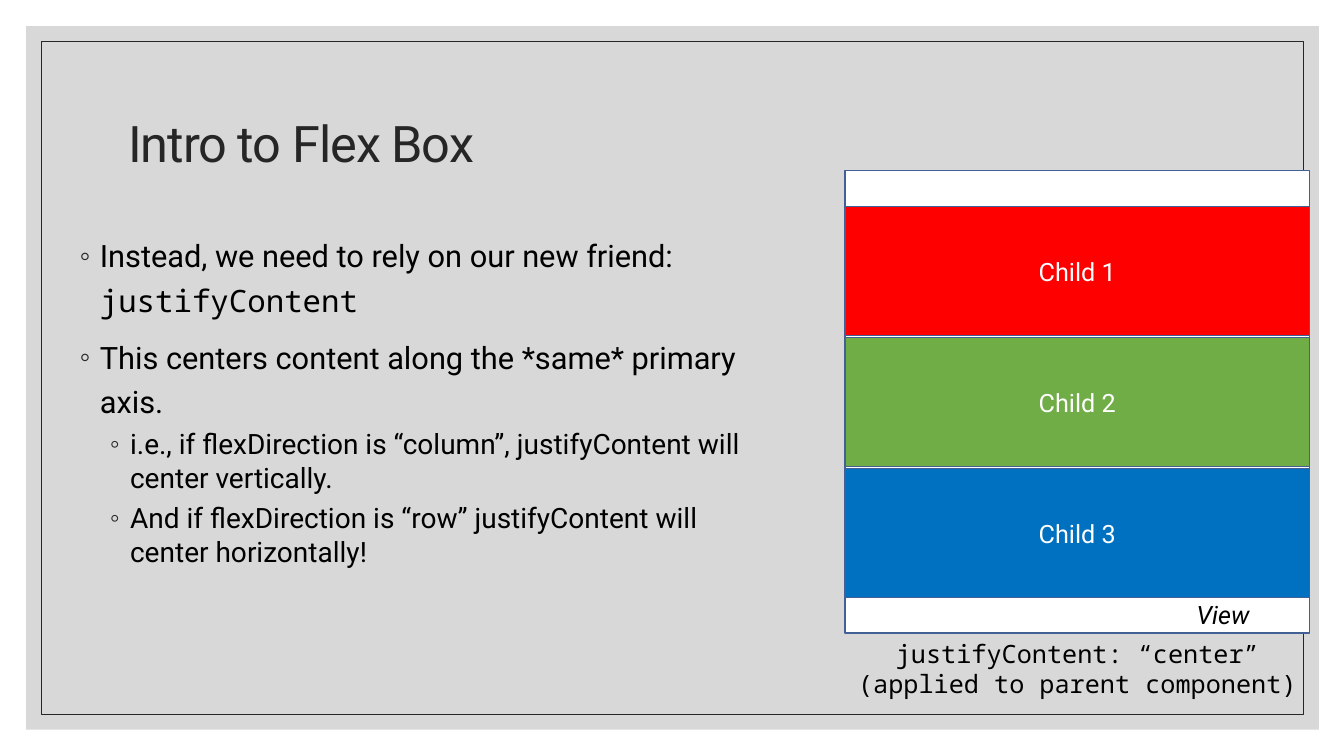
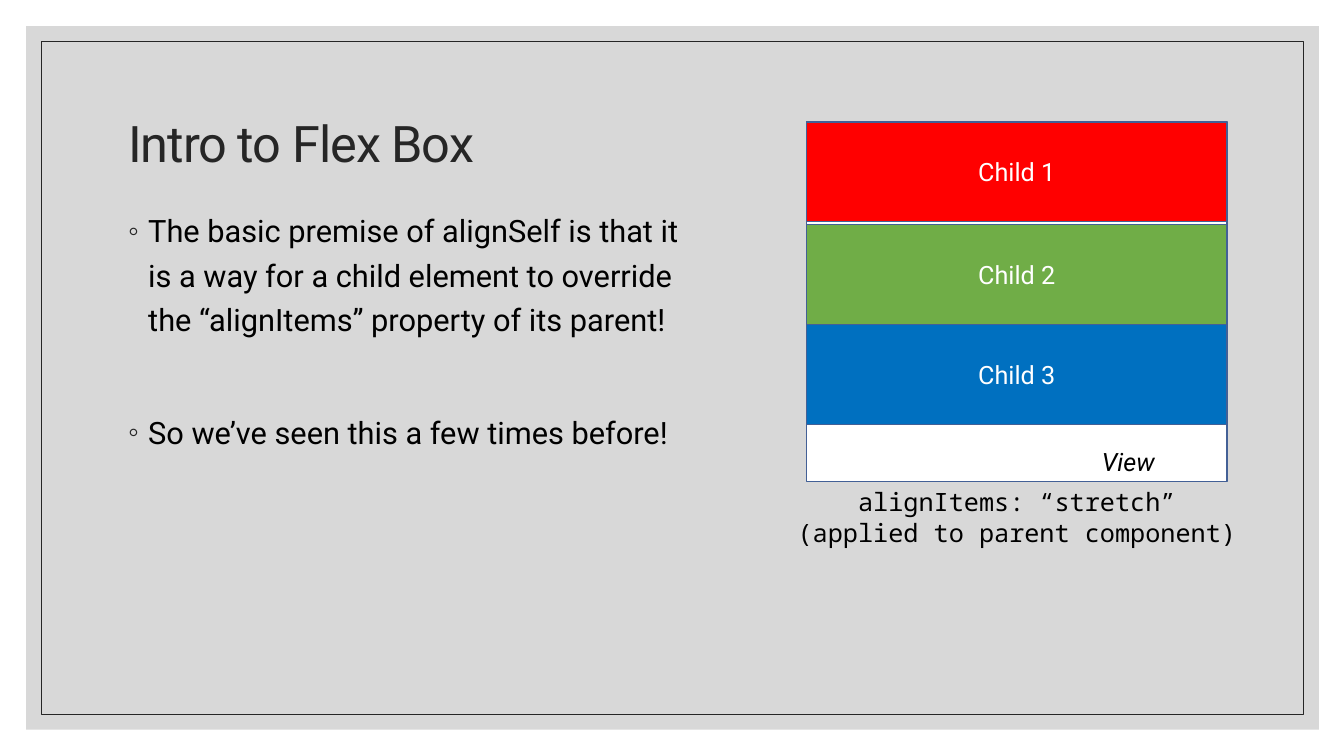
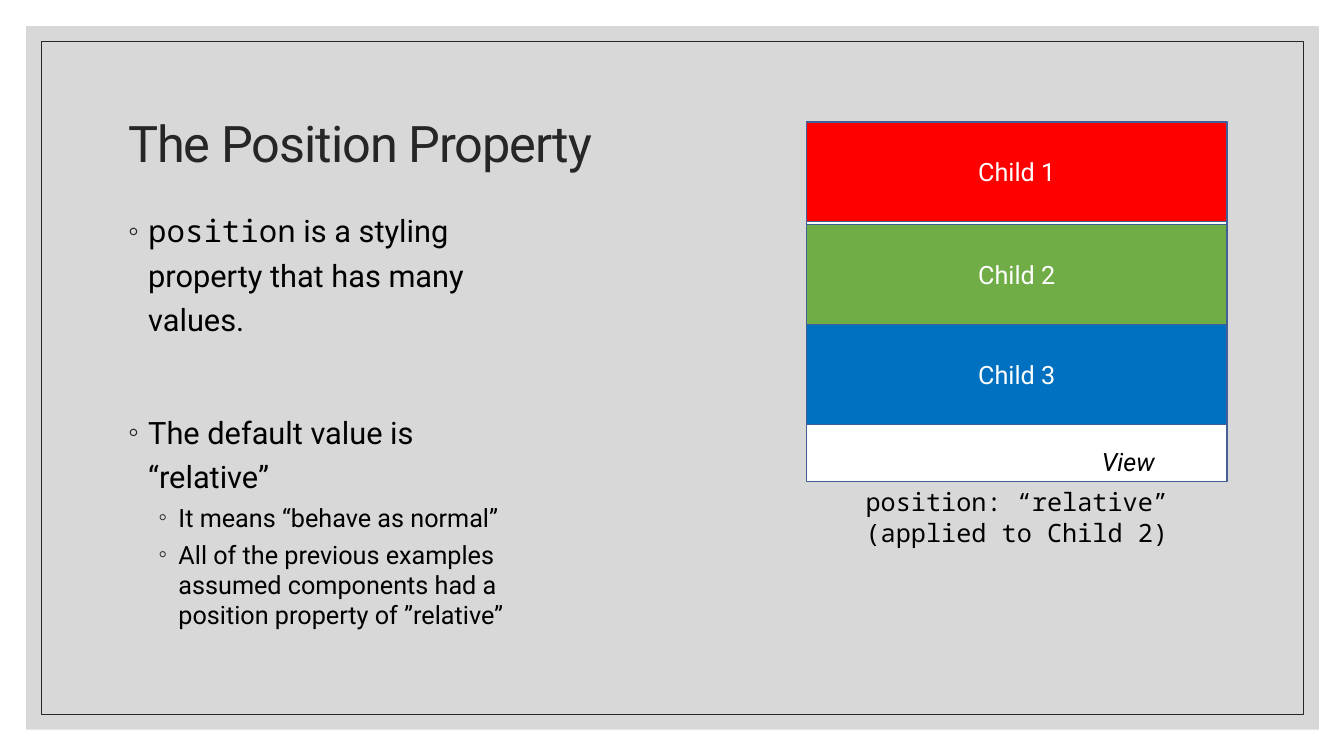
from lxml import etree
from pptx import Presentation
from pptx.dml.color import RGBColor
from pptx.enum import shapes as kinds, text as txt
from pptx.oxml import ns
from pptx.util import Inches, Pt

SANS, MONO = "Roboto", "Noto Sans Mono"
INK = RGBColor(0x26, 0x26, 0x26)
GREY = RGBColor(0xBF, 0xBF, 0xBF)
BLACK = RGBColor(0, 0, 0)
WHITE = RGBColor(0xFF, 0xFF, 0xFF)
EDGE = RGBColor(0x43, 0x60, 0x96)
RED = RGBColor(0xFF, 0, 0)
GREEN = RGBColor(0x70, 0xAD, 0x47)
BLUE = RGBColor(0, 0x70, 0xC0)

KIDS = [("Child 1", RED), ("Child 2", GREEN), ("Child 3", BLUE)]
BREAK = 49  # points before a point that opens a new block

# Boxes are left, top, width, height in inches.
WIDE = {"box": (8.38, 1.69, 4.61, 4.59), "tops": (2.05, 3.35, 4.65),
        "tall": 1.28, "view": (11.77, 5.9)}
SLIM = {"box": (8, 1.21, 4.17, 3.57), "tops": (1.21, 2.23, 3.22),
        "tall": 0.99, "view": (10.83, 4.38)}

# Each point is level, size, space before, then its (text, font) runs.
SLIDES = [
    {"title": "Intro to Flex Box", "body": (0.69, 2.23, 7.1, 4.94), "panel": WIDE,
     "points": [
         (0, 22, 0, [("Instead, we need to rely on our new friend: ", SANS),
                     ("justifyContent", MONO)]),
         (0, 22, 9, [("This centers content along the *same* primary axis.", SANS)]),
         (1, 20, 5, [("i.e., if flexDirection is “column”, justifyContent will "
                      "center vertically.", SANS)]),
         (1, 20, 5, [("And if flexDirection is “row” justifyContent will "
                      "center horizontally!", SANS)])],
     "note": ["justifyContent: “center”", "(applied to parent component)"]},
    {"title": "Intro to Flex Box", "body": (1.17, 1.98, 5.88, 4.94), "panel": SLIM,
     "points": [
         (0, 22, 0, [("The basic premise of alignSelf is that it is a way for a child "
                      "element to override the “alignItems” property of its parent!",
                      SANS)]),
         (0, 22, BREAK, [("So we’ve seen this a few times before!", SANS)])],
     "note": ["alignItems: “stretch”", "(applied to parent component)"]},
    {"title": "The Position Property", "body": (1.17, 1.98, 4.09, 4.94), "panel": SLIM,
     "points": [
         (0, 22, 0, [("position", MONO),
                     (" is a styling property that has many values.", SANS)]),
         (0, 22, BREAK, [("The default value is “relative”", SANS)]),
         (1, 18, 5, [("It means “behave as normal”", SANS)]),
         (1, 18, 5, [("All of the previous examples assumed components had a "
                      "position property of ”relative”", SANS)])],
     "note": ["position: “relative”", "(applied to Child 2)"]},
]


def place(shape, box):
    shape.left, shape.top, shape.width, shape.height = map(Inches, box)


def write(par, words, size=18, font=SANS, color=BLACK, italic=None, track=None, align=None):
    """Add one formatted run to a paragraph."""
    run = par.add_run()
    run.text = words
    run.font.size, run.font.name, run.font.italic = Pt(size), font, italic
    run.font.color.rgb = color
    if track is not None:
        run.font._element.set("spc", str(track))
    if align is not None:
        par.alignment = align


def rect(home, box, fill=None, line=None, weight=1):
    shape = home.add_shape(kinds.MSO_SHAPE.RECTANGLE, *map(Inches, box))
    shape.shadow.inherit = False
    if fill is None:
        shape.fill.background()
    else:
        shape.fill.solid()
        shape.fill.fore_color.rgb = fill
    if line is None:
        shape.line.fill.background()
    else:
        shape.line.color.rgb, shape.line.width = line, Pt(weight)
    return shape


def label(home, box, lines, wrap=True, **style):
    frame = home.add_textbox(*map(Inches, box)).text_frame
    frame.word_wrap = wrap
    for i, words in enumerate(lines):
        par = frame.add_paragraph() if i else frame.paragraphs[0]
        write(par, words, **style)


def bullet(par, level):
    props = par._p.get_or_add_pPr()
    props.set("marL", str(Inches(0.5 if level else 0.2)))
    props.set("indent", str(Inches(-0.2)))
    tint = etree.SubElement(props, ns.qn("a:buClr"))
    etree.SubElement(tint, ns.qn("a:srgbClr"), val=str(INK))
    etree.SubElement(props, ns.qn("a:buChar"), char="◦")


def dress(layout, slide):
    """Put the page frame and the title place on the layout, drawing it on a slide first."""
    place(layout.placeholders[0], (1.17, 0.7, 11, 1.5))
    page = rect(slide.shapes, (0.26, 0.26, 12.82, 6.98), fill=GREY)
    tint = page._element.find(".//" + ns.qn("a:srgbClr"))
    etree.SubElement(tint, ns.qn("a:alpha"), val="60000")
    rule = rect(slide.shapes, (0.41, 0.41, 12.52, 6.68), line=INK, weight=0.5)
    for i, shape in enumerate((page, rule)):
        layout.shapes._spTree.insert(2 + i, shape._element)


def fill_text(slide, data):
    frame = slide.shapes.title.text_frame
    frame.vertical_anchor = txt.MSO_ANCHOR.MIDDLE
    par = frame.paragraphs[0]
    par.line_spacing = 0.9
    write(par, data["title"], size=36, color=INK, track=-70, align=txt.PP_ALIGN.LEFT)

    body = slide.placeholders[1]
    place(body, data["body"])
    frame = body.text_frame
    frame.auto_size = txt.MSO_AUTO_SIZE.NONE
    for i, (level, size, before, runs) in enumerate(data["points"]):
        par = frame.add_paragraph() if i else frame.paragraphs[0]
        bullet(par, level)
        par.level = level
        par.space_before = Pt(before)
        par.line_spacing = 1.0 if level else 1.2
        for words, font in runs:
            write(par, words, size=size, font=font)


def draw_panel(slide, panel, note):
    """Draw the parent view with its three children and the note below."""
    home = slide.shapes.add_group_shape().shapes
    left, top, width, height = panel["box"]
    rect(home, panel["box"], fill=WHITE, line=EDGE)
    for (name, color), y in zip(KIDS, panel["tops"]):
        child = rect(home, (left, y, width, panel["tall"]), fill=color, line=EDGE)
        child.text_frame.vertical_anchor = txt.MSO_ANCHOR.MIDDLE
        write(child.text_frame.paragraphs[0], name, color=WHITE, align=txt.PP_ALIGN.CENTER)
    label(home, (*panel["view"], 0.8, 0.4), ["View"], wrap=False, italic=True)
    span = 4.95
    label(home, (left + (width - span) / 2, top + height, span, 0.71), note,
          font=MONO, align=txt.PP_ALIGN.CENTER)


def main():
    deck = Presentation()
    deck.slide_width, deck.slide_height = Inches(13.33), Inches(7.5)
    layout = deck.slide_layouts[1]
    for i, data in enumerate(SLIDES):
        slide = deck.slides.add_slide(layout)
        if i == 0:
            dress(layout, slide)
        fill_text(slide, data)
        draw_panel(slide, data["panel"], data["note"])
    deck.save("out.pptx")


if __name__ == "__main__":
    main()
